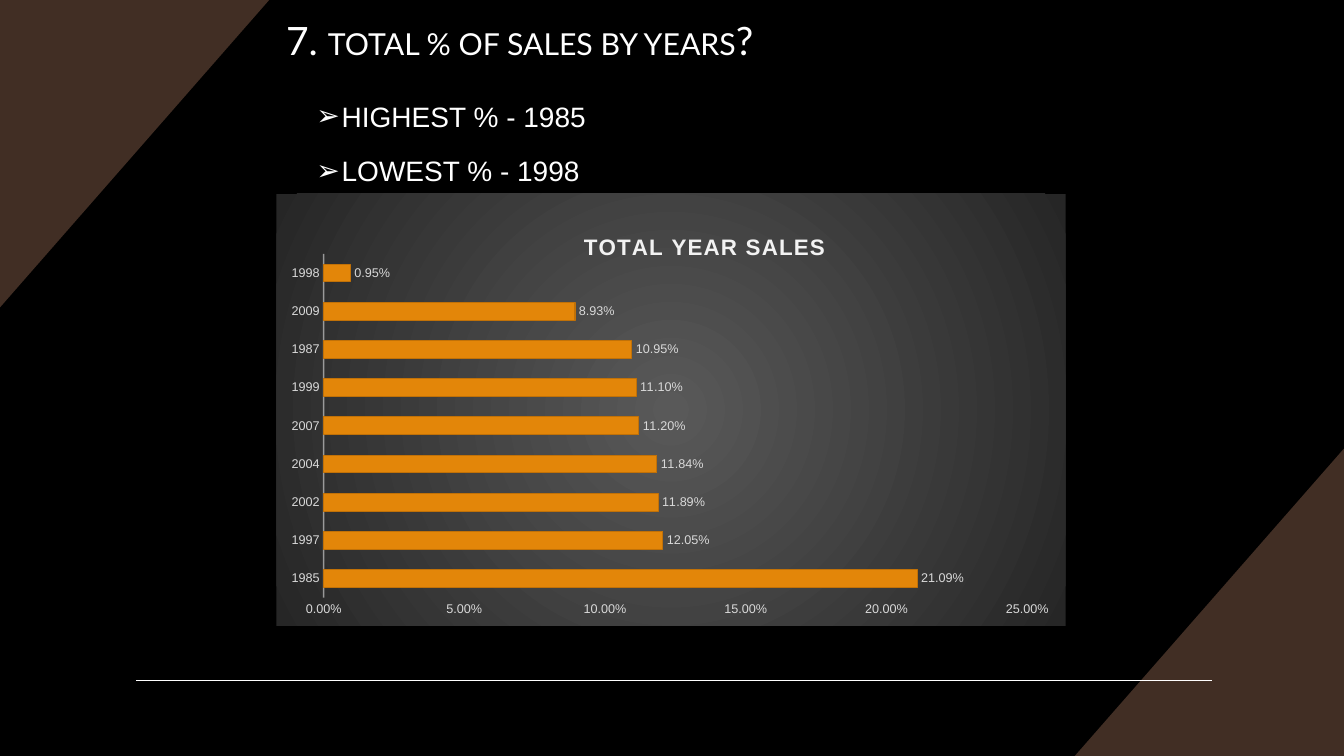
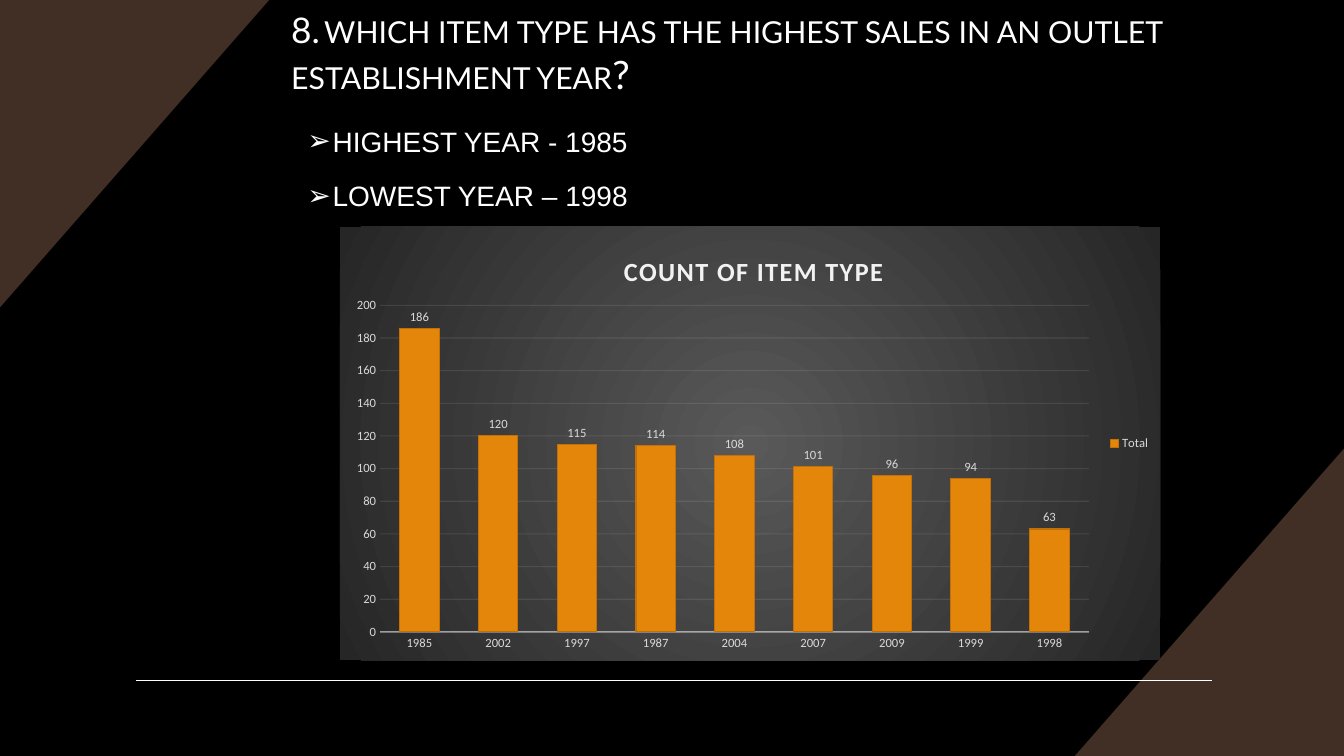
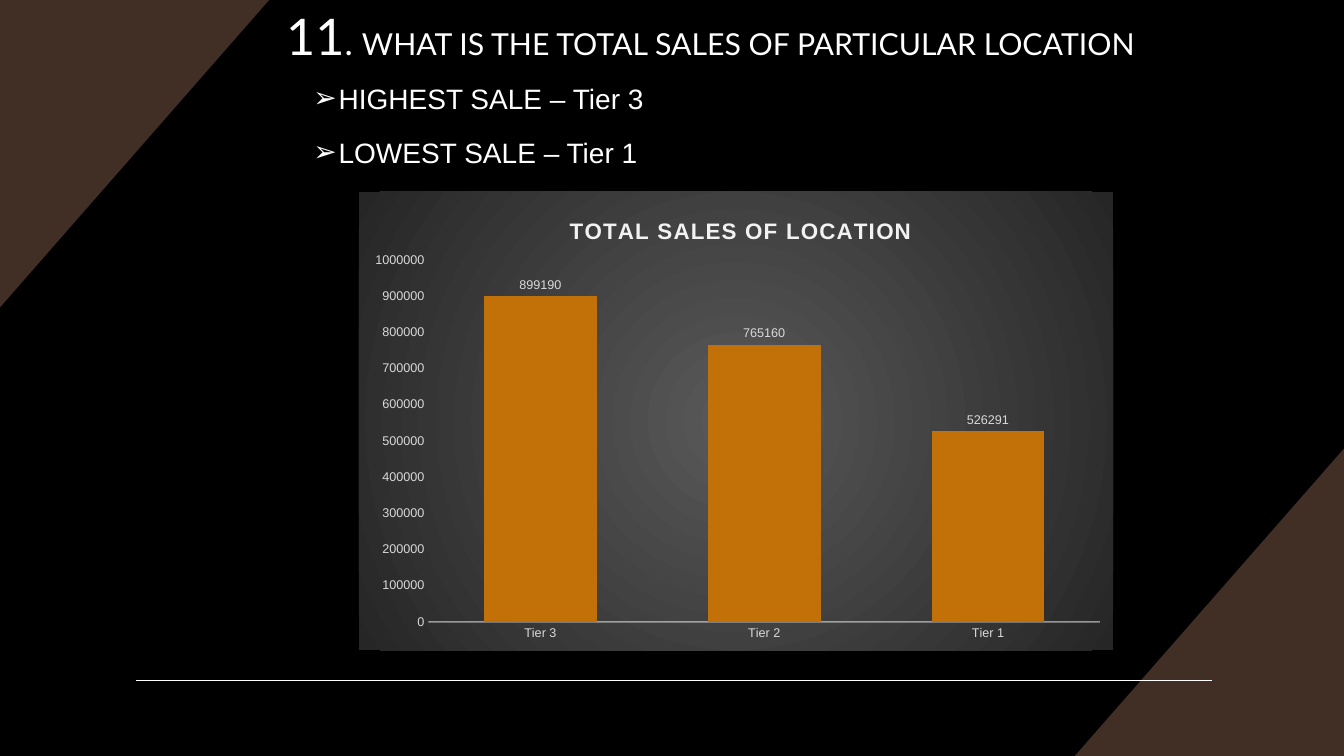
from lxml import etree
from pptx import Presentation
from pptx.chart.data import CategoryChartData
from pptx.dml.color import RGBColor
from pptx.enum import chart as ch
from pptx.enum import shapes, text
from pptx.oxml import parse_xml
from pptx.oxml.ns import nsdecls, qn
from pptx.util import Inches, Pt

BLACK = RGBColor(0x00, 0x00, 0x00)
WHITE = RGBColor(0xFF, 0xFF, 0xFF)
BROWN = RGBColor(0x41, 0x2E, 0x24)
ORANGE = RGBColor(0xE3, 0x86, 0x09)
DARK_ORANGE = RGBColor(0xC1, 0x71, 0x07)
LABEL_GRAY = RGBColor(0xD9, 0xD9, 0xD9)
PALE_GRAY = RGBColor(0xF2, 0xF2, 0xF2)

CORNERS = [
    [(13.33, 4.45), (13.33, 7.5), (10.66, 7.5)],
    [(0, 3.05), (0, 0), (2.67, 0)],
]

PANEL_FILL = f"""<c:spPr {nsdecls('c', 'a')}>
  <a:gradFill><a:gsLst>
    <a:gs pos="0"><a:srgbClr val="595959"/></a:gs>
    <a:gs pos="100000"><a:srgbClr val="262626"/></a:gs>
  </a:gsLst><a:path path="circle">
    <a:fillToRect l="50000" t="50000" r="50000" b="50000"/>
  </a:path></a:gradFill><a:ln><a:noFill/></a:ln>
</c:spPr>"""

# Boxes are left, top, width, height in inches.
QUESTIONS = [
    dict(
        question=[("7. ", 27.9, "Lato"), ("TOTAL % OF SALES BY YEARS", 21.6, "Lato"),
                  ("?", 27.9, "Lato")],
        question_box=(2.74, 0.11, 9.34, 0.7),
        answers=["HIGHEST % - 1985", "LOWEST % - 1998"],
        answers_at=(3.04, 0.87),
        kind=ch.XL_CHART_TYPE.BAR_CLUSTERED,
        panel=(2.74, 1.92, 7.83, 4.29), plot=(3.21, 2.52, 6.98, 3.41),
        heading="TOTAL YEAR SALES", heading_at=(5.75, 2.27), heading_size=16,
        heading_font="Arial", font="Arial", color=ORANGE, gap=115, overlap=-20,
        top=0.25, step=0.05, number_format="0.00%", series="Series 1",
        values={"1985": 0.2109, "1997": 0.1205, "2002": 0.1189, "2004": 0.1184,
                "2007": 0.112, "1999": 0.111, "1987": 0.1095, "2009": 0.0893,
                "1998": 0.0095},
        grid_and_legend=False,
    ),
    dict(
        question=[("8.", 25.2, "Lato"), (" ", 10.8, "Arial"),
                  ("WHICH ITEM TYPE HAS THE HIGHEST SALES IN AN OUTLET "
                   "ESTABLISHMENT YEAR", 21.6, "Lato"), ("?", 27.9, "Lato")],
        question_box=(2.79, 0.03, 9.29, 1),
        answers=["HIGHEST YEAR - 1985", "LOWEST YEAR – 1998"],
        answers_at=(2.95, 1.12),
        kind=ch.XL_CHART_TYPE.COLUMN_CLUSTERED,
        panel=(3.37, 2.25, 8.14, 4.3), plot=(3.77, 3.03, 7.03, 3.24),
        heading="COUNT OF ITEM TYPE", heading_at=(6.14, 2.46), heading_size=18.7,
        heading_font="Calibri", font="Calibri", color=ORANGE, gap=100, overlap=-24,
        top=200, step=20, number_format="General", series="Total",
        values={"1985": 186, "2002": 120, "1997": 115, "1987": 114, "2004": 108,
                "2007": 101, "2009": 96, "1999": 94, "1998": 63},
        grid_and_legend=True,
    ),
    dict(
        question=[("11", 36, "Lato"), (". ", 25.2, "Lato"),
                  ("WHAT IS THE TOTAL SALES OF PARTICULAR LOCATION", 21.6, "Lato")],
        question_box=(2.74, 0, 9.34, 0.7),
        answers=["HIGHEST SALE – Tier 3", "LOWEST SALE – Tier 1"],
        answers_at=(3.01, 0.69),
        kind=ch.XL_CHART_TYPE.COLUMN_CLUSTERED,
        panel=(3.56, 1.9, 7.48, 4.55), plot=(4.25, 2.58, 6.66, 3.59),
        heading="TOTAL SALES OF LOCATION", heading_at=(5.61, 2.11), heading_size=16,
        heading_font="Arial", font="Arial", color=DARK_ORANGE, gap=100, overlap=-24,
        top=1000000, step=100000, number_format="General", series="Series 1",
        values={"Tier 3": 899190, "Tier 2": 765160, "Tier 1": 526291},
        grid_and_legend=False,
    ),
]


def place_in_chart(part, index, panel, box):
    """Fix a chart part at a slide position; box is left, top and maybe width, height."""
    for old in part.findall(qn("c:layout")):
        part.remove(old)
    left, top, width, height = panel
    fractions = [(box[0] - left) / width, (box[1] - top) / height]
    if len(box) == 4:
        fractions += [box[2] / width, box[3] / height]
    layout = etree.Element(qn("c:layout"))
    manual = etree.SubElement(layout, qn("c:manualLayout"))
    if len(box) == 4:
        etree.SubElement(manual, qn("c:layoutTarget")).set("val", "inner")
    for mode in ("xMode", "yMode"):
        etree.SubElement(manual, qn(f"c:{mode}")).set("val", "edge")
    for name, fraction in zip("xywh", fractions):
        etree.SubElement(manual, qn(f"c:{name}")).set("val", f"{fraction:.4f}")
    part.insert(index, layout)


def style_line(line, owner, width, percent):
    """Draw a pale line of the given opacity; owner is the XML element that holds it."""
    line.color.rgb = PALE_GRAY
    line.width = Pt(width)
    color = owner.xpath("./c:spPr/a:ln//a:srgbClr")[0]
    etree.SubElement(color, qn("a:alpha")).set("val", str(percent * 1000))


prs = Presentation()
prs.slide_width, prs.slide_height = Inches(13.33), Inches(7.5)

for item in QUESTIONS:
    slide = prs.slides.add_slide(prs.slide_layouts[6])
    slide.background.fill.solid()
    slide.background.fill.fore_color.rgb = BLACK

    for corner in CORNERS:
        points = [(Inches(x), Inches(y)) for x, y in corner]
        outline = slide.shapes.build_freeform(*points[0])
        outline.add_line_segments(points[1:])
        triangle = outline.convert_to_shape()
        triangle.shadow.inherit = False
        triangle.fill.solid()
        triangle.fill.fore_color.rgb = BROWN
        triangle.line.fill.background()

    rule = slide.shapes.add_connector(
        shapes.MSO_CONNECTOR.STRAIGHT,
        Inches(1.35), Inches(6.75), Inches(12.02), Inches(6.75))
    rule.line.color.rgb = WHITE
    rule.line.width = Pt(1)
    etree.SubElement(rule._element.spPr, qn("a:effectLst"))

    question = slide.shapes.add_textbox(*map(Inches, item["question_box"])).text_frame
    question.word_wrap = True
    question.vertical_anchor = text.MSO_ANCHOR.TOP
    for words, size, font in item["question"]:
        run = question.paragraphs[0].add_run()
        run.text = words
        run.font.size = Pt(size)
        run.font.name = font
        run.font.color.rgb = WHITE

    answers = slide.shapes.add_textbox(
        *map(Inches, item["answers_at"]), Inches(9), Inches(1.1)).text_frame
    answers.word_wrap = True
    for number, answer in enumerate(item["answers"]):
        line = answers.add_paragraph() if number else answers.paragraphs[0]
        line.text = answer
        line.line_spacing = 1.2
        if number:
            line.space_before = Pt(10)
        indent = line._p.get_or_add_pPr()
        indent.set("marL", str(Inches(0.25)))
        indent.set("indent", str(-Inches(0.25)))
        etree.SubElement(indent, qn("a:buFont")).set("typeface", "Arial")
        etree.SubElement(indent, qn("a:buChar")).set("char", "➢")
        line.font.size = Pt(20)
        line.font.name = "Arial"
        line.font.color.rgb = WHITE

    data = CategoryChartData(number_format=item["number_format"])
    data.categories = list(item["values"])
    data.add_series(item["series"], list(item["values"].values()))
    panel = item["panel"]
    chart = slide.shapes.add_chart(item["kind"], *map(Inches, panel), data).chart
    chart.font.size = Pt(10)
    chart.font.name = "Arial"
    chart.font.color.rgb = WHITE
    chart_space = chart._chartSpace
    chart_space.find(qn("c:chart")).addnext(parse_xml(PANEL_FILL))

    chart.has_title = True
    heading = chart.chart_title.text_frame.paragraphs[0]
    run = heading.add_run()
    run.text = item["heading"]
    run.font.size = Pt(item["heading_size"])
    run.font.name = item["heading_font"]
    run.font.bold = True
    run.font.color.rgb = PALE_GRAY
    run._r.get_or_add_rPr().set("spc", "100")
    place_in_chart(chart.chart_title._element, 1, panel, item["heading_at"])
    place_in_chart(chart_space.xpath("./c:chart/c:plotArea")[0], 0, panel, item["plot"])

    categories, amounts = chart.category_axis, chart.value_axis
    for axis in (categories, amounts):
        axis.major_tick_mark = axis.minor_tick_mark = ch.XL_TICK_MARK.NONE
    style_line(categories.format.line, categories._element, 1, 54)
    amounts.format.line.fill.background()
    amounts.minimum_scale = 0
    amounts.maximum_scale = item["top"]
    amounts.major_unit = item["step"]
    amounts.has_major_gridlines = item["grid_and_legend"]
    if item["grid_and_legend"]:
        grid = amounts.major_gridlines.format.line
        style_line(grid, amounts._element.find(qn("c:majorGridlines")), 0.75, 10)

    bars = chart.plots[0]
    bars.gap_width = item["gap"]
    bars.overlap = item["overlap"]
    bars.vary_by_categories = False
    series = bars.series[0]
    series.format.fill.solid()
    series.format.fill.fore_color.rgb = item["color"]
    series.format.line.color.rgb = DARK_ORANGE
    series.format.line.width = Pt(0.75)
    labels = series.data_labels
    labels.show_value = True
    labels.position = ch.XL_LABEL_POSITION.OUTSIDE_END
    for numbers in (labels, amounts.tick_labels):
        numbers.number_format = item["number_format"]
        numbers.number_format_is_linked = False

    small_fonts = [labels.font, categories.tick_labels.font, amounts.tick_labels.font]
    chart.has_legend = item["grid_and_legend"]
    if chart.has_legend:
        chart.legend.position = ch.XL_LEGEND_POSITION.RIGHT
        chart.legend.include_in_layout = False
        small_fonts.append(chart.legend.font)
    for font in small_fonts:
        font.size = Pt(9)
        font.name = item["font"]
        font.color.rgb = LABEL_GRAY

prs.save("out.pptx")
